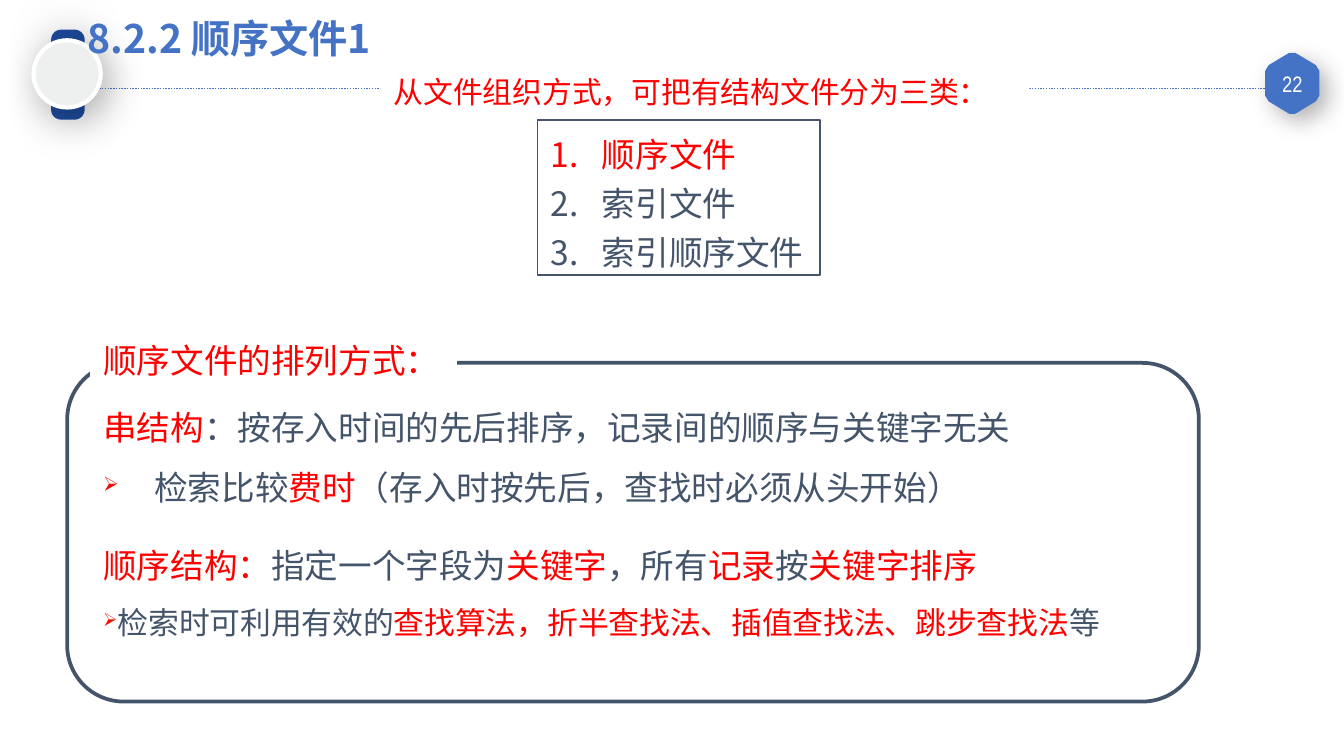
from lxml import etree
from pptx import Presentation
from pptx.dml.color import RGBColor
from pptx.enum.dml import MSO_LINE
from pptx.enum.shapes import MSO_CONNECTOR, MSO_SHAPE
from pptx.enum.text import MSO_ANCHOR, MSO_AUTO_SIZE, PP_ALIGN
from pptx.oxml.ns import qn
from pptx.util import Inches, Pt

RECT, ROUND, OVAL = MSO_SHAPE.RECTANGLE, MSO_SHAPE.ROUNDED_RECTANGLE, MSO_SHAPE.OVAL
STRAIGHT, DOTS = MSO_CONNECTOR.STRAIGHT, MSO_LINE.ROUND_DOT
TOP, MIDDLE = MSO_ANCHOR.TOP, MSO_ANCHOR.MIDDLE
LEFT, CENTER = PP_ALIGN.LEFT, PP_ALIGN.CENTER
NO_FIT = MSO_AUTO_SIZE.NONE

BLUE = RGBColor(0x44, 0x72, 0xC4)
NAVY = RGBColor(0x1D, 0x49, 0x99)
SLATE = RGBColor(0x44, 0x54, 0x6A)
RED = RGBColor(0xFF, 0x00, 0x00)
BULLET_RED = RGBColor(0xE7, 0x11, 0x01)
PALE = RGBColor(0xEE, 0xF0, 0xF0)
WHITE = RGBColor(0xFF, 0xFF, 0xFF)

SANS, NARROW = "Noto Sans CJK SC", "Arial Narrow"
WIDTH = Inches(10)
HEIGHT = WIDTH * 9 // 16
CELL = WIDTH / 100  # the grid has 100 columns of square cells


def grid(*cells):
    return [round(c * CELL) for c in cells]


def child(parent, tag, **attrs):
    return etree.SubElement(parent, qn(tag), {k: str(v) for k, v in attrs.items()})


class SlideBuilder:
    def __init__(self, prs, font=SANS):
        self.s = prs.slides.add_slide(prs.slide_layouts[5])
        self.font = font

    def style(self, sp, fill=None, line=None, weight=1, shadow=None):
        """Shadow is (opacity %, blur pt, distance pt, angle in degrees)."""
        sp.shadow.inherit = False
        if fill is None:
            sp.fill.background()
        else:
            sp.fill.solid()
            sp.fill.fore_color.rgb = fill
        if line is None:
            sp.line.fill.background()
        else:
            sp.line.color.rgb = line
            sp.line.width = Pt(weight)
        if shadow:
            opacity, blur, dist, angle = shadow
            effects = sp.element.spPr.find(qn("a:effectLst"))
            outer = child(effects, "a:outerShdw", blurRad=Pt(blur), dist=Pt(dist),
                          dir=angle * 60000, algn="ctr", rotWithShape=0)
            clr = child(outer, "a:srgbClr", val="000000")
            child(clr, "a:alpha", val=opacity * 1000)
        return sp

    def shape(self, kind, box, **style):
        return self.style(self.s.shapes.add_shape(kind, *grid(*box)), **style)

    def polygon(self, points, **style):
        corners = [grid(*point) for point in points]
        fb = self.s.shapes.build_freeform(*corners[0])
        fb.add_line_segments(corners[1:], close=True)
        return self.style(fb.convert_to_shape(), **style)

    def dotted_line(self, x1, x2, y):
        c = self.s.shapes.add_connector(STRAIGHT, *grid(x1, y, x2, y))
        c.line.color.rgb = BLUE
        c.line.width = Pt(0.75)
        c.line.dash_style = DOTS
        child(c.element.spPr, "a:effectLst")

    def title(self, box, text, size):
        """Place the title in front of what has been drawn so far."""
        sp = self.s.shapes.title
        sp.left, sp.top, sp.width, sp.height = grid(*box)
        self.s.shapes.element.append(sp.element)
        self.frame(sp)
        self.paragraph(sp, [(text, BLUE)], size, bold=True)

    def text_box(self, box, anchor=TOP):
        sp = self.s.shapes.add_textbox(*grid(*box))
        self.frame(sp, anchor)
        return sp

    def label(self, box, text, size):
        sp = self.shape(RECT, box, fill=WHITE)
        self.frame(sp)
        self.paragraph(sp, [(text, RED)], size)

    def frame(self, sp, anchor=TOP):
        tf = sp.text_frame
        tf.word_wrap = True
        tf.auto_size = NO_FIT
        tf.vertical_anchor = anchor

    def paragraph(self, sp, runs, size, spacing=1.0, before=0, bullet=None,
                  margin=0.38, level=0, align=LEFT, font=None, bold=False):
        """Add a paragraph of (text, colour) runs; bullet is a sign or "1."."""
        tf = sp.text_frame
        p = tf.paragraphs[0]
        if p.runs:
            p = tf.add_paragraph()
        p.alignment, p.level = align, level
        p.line_spacing, p.space_before = spacing, Pt(before)
        if bullet:
            pPr = p._p.get_or_add_pPr()
            pPr.set("marL", str(Inches(margin)))
            pPr.set("indent", str(Inches(-0.38)))
            if bullet == "1.":
                child(pPr, "a:buAutoNum", type="arabicPeriod")
            else:
                child(child(pPr, "a:buClr"), "a:srgbClr", val=BULLET_RED)
                child(pPr, "a:buSzPct", val=60000)
                child(pPr, "a:buChar", char=bullet)
        p.font.size, p.font.bold = Pt(size), bold
        p.font.name = font or self.font
        child(p.font._element, "a:ea", typeface=font or self.font)
        for text, color in runs:
            r = p.add_run()
            r.text = text
            r.font.color.rgb = color


def draw_header(b):
    b.dotted_line(3.3, 94.3, 6.6)
    corner = [(1.95, 0.9), (1.7, 1.3), (0.2, 2.2)]
    lower = corner + [(-x, y) for x, y in reversed(corner)]
    hexagon = lower + [(-x, -y) for x, y in lower]
    b.polygon([(96.15 + x, 6.2 + y) for x, y in hexagon],
              fill=BLUE, line=BLUE, shadow=(30, 13, 6, 45))
    number = b.text_box((94.2, 5, 3.9, 2.5), MIDDLE)
    tf = number.text_frame
    tf.margin_left = tf.margin_right = Inches(0.07)
    tf.margin_top = tf.margin_bottom = Inches(0.04)
    b.paragraph(number, [("22", WHITE)], 12, align=CENTER, font=NARROW)

    strap = b.shape(ROUND, (1.7, 4.3, 6.7, 2.5), fill=NAVY, shadow=(17, 27, 0, 0))
    strap.adjustments[0] = 0.3
    strap.rotation = 270
    b.shape(OVAL, (2.5, 3, 5, 5), fill=PALE, line=WHITE, weight=2.25,
            shadow=(28, 22, 6, 45))
    b.title((5.5, 0.6, 57.6, 4.5), "8.2.2 顺序文件1", 21)


def draw_arrangements(b):
    heap = b.text_box((6.7, 29.1, 74.3, 10))
    b.paragraph(heap, [("串结构", RED),
                       ("：按存入时间的先后排序，记录间的顺序与关键字无关", SLATE)],
                18, spacing=1.23)
    b.paragraph(heap, [("检索比较", SLATE), ("费时", RED),
                       ("（存入时按先后，查找时必须从头开始）", SLATE)],
                18, spacing=1.32, before=3.7, bullet="➢", level=1)

    ordered = b.text_box((6.7, 39.1, 83.3, 11.6))
    b.paragraph(ordered, [("顺序结构：", RED), ("指定一个字段为", SLATE),
                          ("关键字", RED), ("，所有", SLATE), ("记录", RED),
                          ("按", SLATE), ("关键字排序", RED)],
                18, spacing=1.32)
    b.paragraph(ordered, [("检索时可利用有效的", SLATE),
                          ("查找算法，折半查找法、插值查找法、跳步查找法", RED),
                          ("等", SLATE)],
                16.5, spacing=1.32, before=3.7, bullet="➢", margin=0, level=1)


def draw_file_kinds(b):
    kinds = b.shape(RECT, (40, 8.9, 21, 11.6), line=SLATE)
    b.frame(kinds)
    for name, color in (("顺序文件", RED), ("索引文件", SLATE), ("索引顺序文件", SLATE)):
        b.paragraph(kinds, [(name, color)], 18, spacing=Pt(26), bullet="1.")


def main():
    prs = Presentation()
    prs.slide_width, prs.slide_height = WIDTH, HEIGHT
    b = SlideBuilder(prs)
    draw_header(b)
    draw_arrangements(b)
    draw_file_kinds(b)
    b.label((28.3, 5, 48.3, 3.7), "从文件组织方式，可把有结构文件分为三类：", 16)
    b.shape(ROUND, (5, 27, 84.2, 25.2), line=SLATE, weight=2)
    b.label((6.7, 24.8, 27.3, 4), "顺序文件的排列方式：", 18)
    prs.save("out.pptx")


if __name__ == "__main__":
    main()
